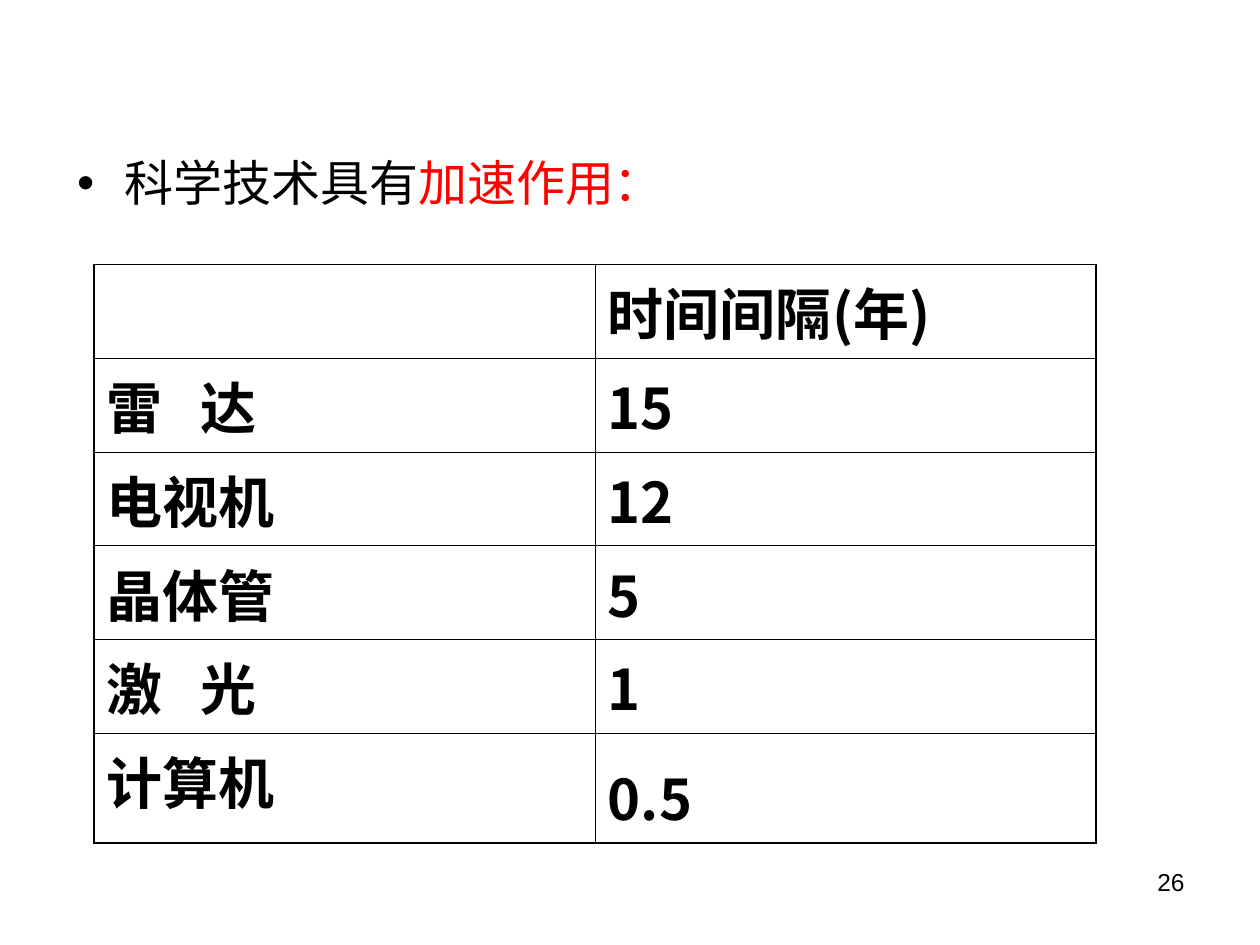
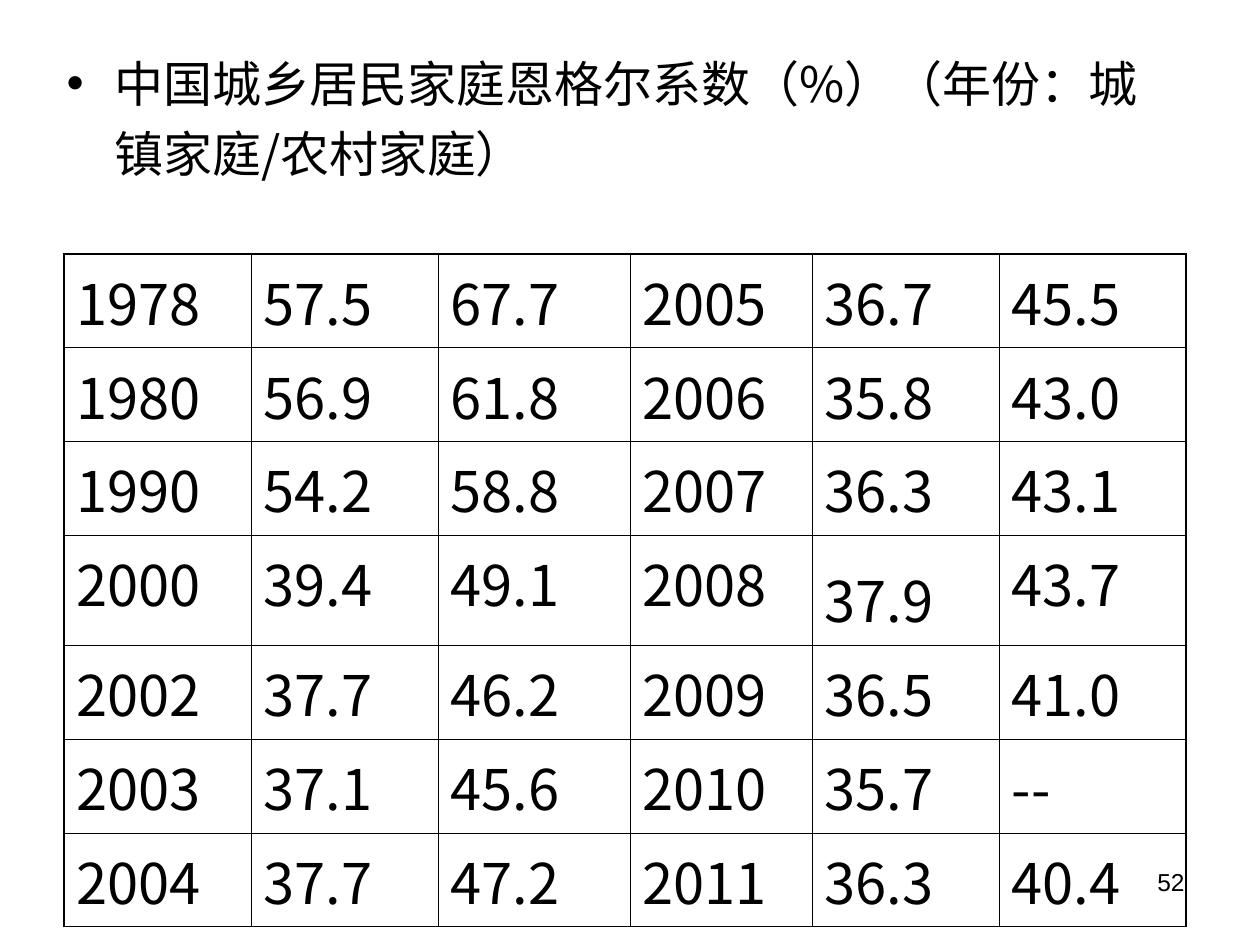
"""Build two slides on technology lead times and Engel coefficients."""
from lxml.etree import SubElement
from pptx import Presentation
from pptx.dml.color import RGBColor
from pptx.enum.text import MSO_AUTO_SIZE as AutoSize, MSO_ANCHOR as Anchor, PP_ALIGN as Align
from pptx.oxml.ns import qn
from pptx.util import Cm, Pt

BLACK, RED = "000000", "FF0000"
CJK, LATIN = "Noto Sans CJK SC", "Arial"


def rgb(code):
    return RGBColor.from_string(code)


class Deck:
    thin, thick = Pt(0.45), Pt(1.08)
    row_height, loose_height = 1.89, 2.22
    loose_spacing = 1.2

    def __init__(self):
        self.prs = Presentation()
        self.prs.slide_width, self.prs.slide_height = Cm(25.4), Cm(19.05)
        self.slide = None

    def start(self, number):
        self.slide = self.prs.slides.add_slide(self.prs.slide_layouts[1])
        title = self.slide.shapes.title
        title.element.getparent().remove(title.element)
        folio = self.slide.shapes.add_textbox(Cm(18.21), Cm(17.35), Cm(5.92), Cm(1.32))
        folio.text_frame.word_wrap = True
        paragraph = folio.text_frame.paragraphs[0]
        paragraph.text = number
        paragraph.alignment = Align.RIGHT
        self.set_font(paragraph, 14, LATIN)

    def set_font(self, paragraph, size, face=CJK, bold=False):
        font = paragraph.font
        font.size, font.name, font.bold = Pt(size), face, bold
        font.color.rgb = rgb(BLACK)
        defaults = paragraph._p.pPr.find(qn("a:defRPr"))
        SubElement(defaults, qn("a:ea"), typeface=face)

    def bullet(self, box, *pieces):
        body = self.slide.placeholders[1]
        body.left, body.top, body.width, body.height = map(Cm, box)
        frame = body.text_frame
        frame.auto_size, frame.vertical_anchor = AutoSize.NONE, Anchor.TOP
        paragraph = frame.paragraphs[0]
        props = paragraph._p.get_or_add_pPr()
        props.set("marL", str(Cm(0.96)))
        props.set("indent", str(-Cm(0.96)))
        SubElement(SubElement(props, qn("a:buClr")), qn("a:srgbClr"), val=BLACK)
        SubElement(props, qn("a:buChar"), char="•")
        paragraph.line_spacing, paragraph.space_before = self.loose_spacing, Pt(0)
        self.set_font(paragraph, 28)
        for words, colour in pieces:
            run = paragraph.add_run()
            run.text = words
            if colour != BLACK:
                run.font.color.rgb = rgb(colour)

    def border(self, cell, side, width):
        line = SubElement(cell._tc.get_or_add_tcPr(), qn("a:ln" + side), w=str(width))
        SubElement(SubElement(line, qn("a:solidFill")), qn("a:srgbClr"), val=BLACK)

    def table(self, left, top, widths, rows, loose, bold=False):
        heights = [self.loose_height if r == loose[0] else self.row_height
                   for r in range(len(rows))]
        grid = self.slide.shapes.add_table(
            len(rows), len(widths), Cm(left), Cm(top), Cm(sum(widths)), Cm(sum(heights))).table
        grid.first_row = grid.horz_banding = False
        for column, width in zip(grid.columns, widths):
            column.width = Cm(width)
        for r, values in enumerate(rows):
            grid.rows[r].height = Cm(heights[r])
            for c, value in enumerate(values):
                cell = grid.cell(r, c)
                outer = {"L": c == 0, "R": c == len(widths) - 1,
                         "T": r == 0, "B": r == len(rows) - 1}
                for side, edge in outer.items():
                    self.border(cell, side, self.thick if edge else self.thin)
                cell.fill.background()
                if value:
                    self.fill_cell(cell, value, (r, c) == loose, bold)

    def fill_cell(self, cell, value, is_loose, bold):
        paragraph = cell.text_frame.paragraphs[0]
        paragraph.text = value
        if "\t" in value:
            stops = SubElement(paragraph._p.get_or_add_pPr(), qn("a:tabLst"))
            SubElement(stops, qn("a:tab"), pos=str(Cm(1.89)), algn="l")
        if is_loose:
            paragraph.line_spacing = self.loose_spacing
        self.set_font(paragraph, 32, bold=bold)


def main():
    deck = Deck()

    deck.start("26")
    deck.bullet((1.3, 2.72, 14.4, 2.21), ("科学技术具有", BLACK), ("加速作用：", RED))
    lead_times = [("", "时间间隔(年)"), ("雷\t达", "15"), ("电视机", "12"),
                  ("晶体管", "5"), ("激\t光", "1"), ("计算机", "0.5")]
    deck.table(1.9, 5.33, [10.1] * 2, lead_times, loose=(5, 1), bold=True)

    deck.start("52")
    deck.bullet((1.09, 0.71, 22.83, 3.61),
                ("中国城乡居民家庭恩格尔系数（%）（年份：城镇家庭/农村家庭）", BLACK))
    engel = [
        ("1978", "57.5", "67.7", "2005", "36.7", "45.5"),
        ("1980", "56.9", "61.8", "2006", "35.8", "43.0"),
        ("1990", "54.2", "58.8", "2007", "36.3", "43.1"),
        ("2000", "39.4", "49.1", "2008", "37.9", "43.7"),
        ("2002", "37.7", "46.2", "2009", "36.5", "41.0"),
        ("2003", "37.1", "45.6", "2010", "35.7", "--"),
        ("2004", "37.7", "47.2", "2011", "36.3", "40.4"),
    ]
    deck.table(1.29, 5.12, [3.77, 3.77, 3.87, 3.67, 3.77, 3.77], engel, loose=(3, 4))

    deck.prs.save("out.pptx")


if __name__ == "__main__":
    main()
